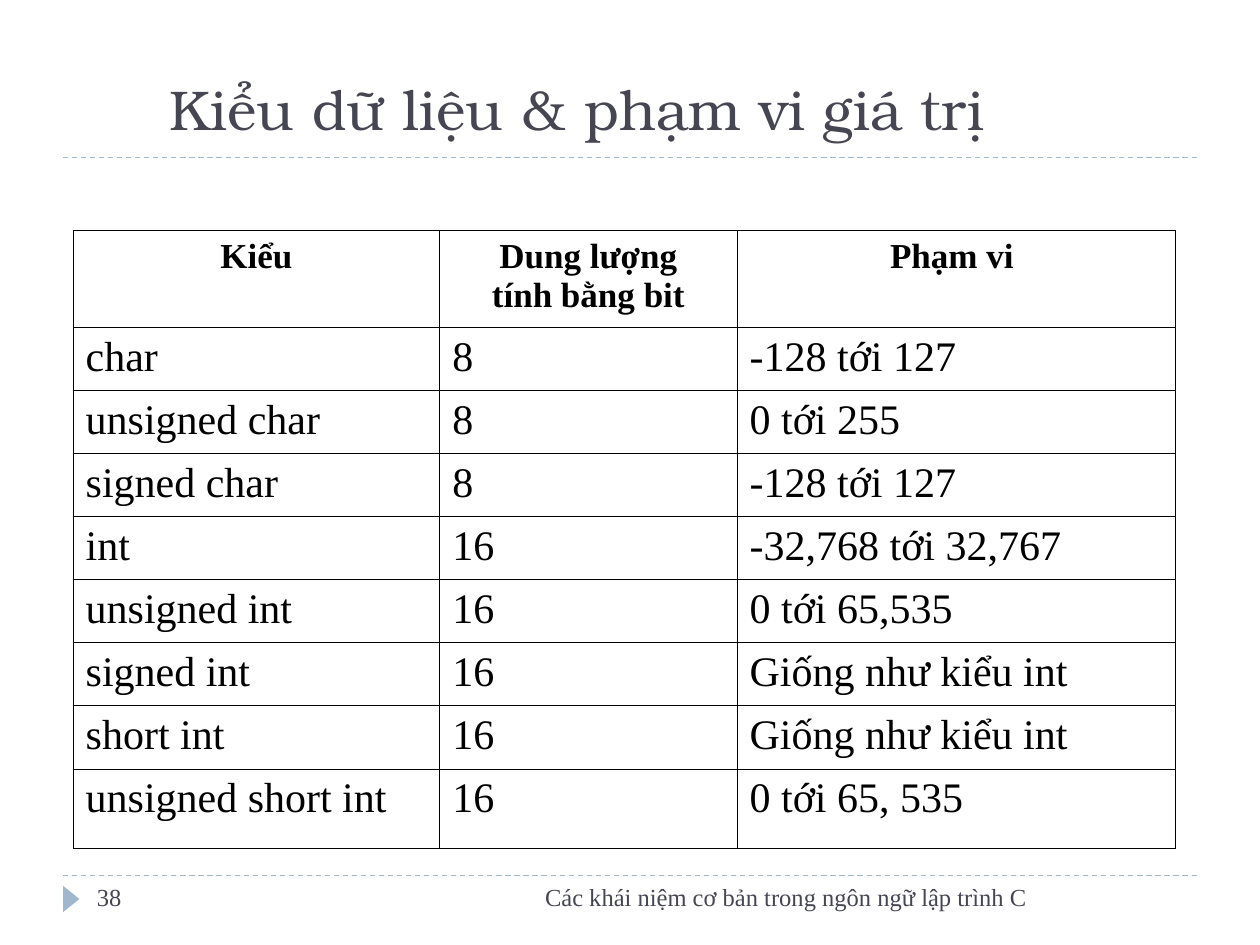
from pptx import Presentation
from pptx.dml.color import RGBColor
from pptx.enum.dml import MSO_LINE
from pptx.enum.shapes import MSO_CONNECTOR, MSO_SHAPE
from pptx.enum.text import MSO_ANCHOR, PP_ALIGN
from pptx.oxml.ns import qn
from pptx.util import Inches, Pt
from lxml import etree

STRAIGHT, TRIANGLE = MSO_CONNECTOR.STRAIGHT, MSO_SHAPE.ISOSCELES_TRIANGLE
DASH = MSO_LINE.DASH
LEFT, CENTER, RIGHT, JUSTIFY = (PP_ALIGN.LEFT, PP_ALIGN.CENTER,
                                PP_ALIGN.RIGHT, PP_ALIGN.JUSTIFY)
TOP, BOTTOM = MSO_ANCHOR.TOP, MSO_ANCHOR.BOTTOM

TITLE_FONT, BODY_FONT = "TeX Gyre Bonum", "Times New Roman"
INK, ACCENT, BLACK = "464653", "9FB8CD", "000000"

HEADERS = ["Kiểu", "Dung lượng\ntính bằng bit", "Phạm vi "]
TYPES = [
    ("char", "8", "-128 tới 127"),
    ("unsigned char", "8", "0 tới 255"),
    ("signed char", "8", "-128 tới 127"),
    ("int", "16", "-32,768 tới 32,767"),
    ("unsigned int", "16", "0 tới 65,535"),
    ("signed int", "16", "Giống như kiểu int"),
    ("short int", "16", "Giống như kiểu int"),
    ("unsigned short int", "16", "0 tới 65, 535"),
]
COL_WIDTHS = [2.91, 2.36, 3.48]
ROW_HEIGHTS = [0.77] + [0.5] * 7 + [0.63]


def rgb(color):
    return RGBColor.from_string(color)


def set_text(tf, text, size, font, color, align=LEFT, bold=False):
    tf.text = text
    for p in tf.paragraphs:
        p.alignment = align
        for r in p.runs:
            r.font.size = Pt(size)
            r.font.name = font
            r.font.bold = bold
            r.font.color.rgb = rgb(color)


def add_text(s, box, text, size, font, align=LEFT, anchor=TOP):
    tf = s.shapes.add_textbox(*map(Inches, box)).text_frame
    tf.word_wrap = True
    tf.vertical_anchor = anchor
    set_text(tf, text, size, font, INK, align)


def add_rule(s, x, y, width):
    line = s.shapes.add_connector(STRAIGHT, Inches(x), Inches(y),
                                  Inches(x + width), Inches(y))
    line.line.color.rgb = rgb(ACCENT)
    line.line.width = Pt(0.75)
    line.line.dash_style = DASH
    etree.SubElement(line._element.spPr, qn("a:effectLst"))


def set_borders(cell):
    tcPr = cell._tc.get_or_add_tcPr()
    for i, side in enumerate(("lnL", "lnR", "lnT", "lnB")):
        ln = etree.Element(qn(f"a:{side}"), w=str(Pt(0.45)))
        fill = etree.SubElement(ln, qn("a:solidFill"))
        etree.SubElement(fill, qn("a:srgbClr"), val=BLACK)
        tcPr.insert(i, ln)


def add_title(s, x, y, width, height):
    add_text(s, (x + 0.75, y, width - 0.75, height - 0.08),
             "Kiểu dữ liệu & phạm vi giá trị", 32, TITLE_FONT, anchor=BOTTOM)
    add_rule(s, x, y + height, width)


def add_type_table(s, x, y, width, height):
    rows = [HEADERS] + TYPES
    table = s.shapes.add_table(len(rows), len(HEADERS), Inches(x), Inches(y),
                               Inches(width), Inches(height)).table
    table.first_row = table.horz_banding = False
    for column, w in zip(table.columns, COL_WIDTHS):
        column.width = Inches(w)
    for i, (row, h) in enumerate(zip(table.rows, ROW_HEIGHTS)):
        row.height = Inches(h)
        header = i == 0
        for cell, text in zip(row.cells, rows[i]):
            cell.fill.background()
            set_borders(cell)
            set_text(cell.text_frame, text, 20 if header else 24, BODY_FONT,
                     BLACK, CENTER if header else JUSTIFY, header)


def add_footer(s, x, y, width, height):
    add_rule(s, x, y, width)
    # Page marker: a triangle turned to point right
    marker = s.shapes.add_shape(TRIANGLE, Inches(x - 0.04), Inches(y + 0.12),
                                Inches(0.21), Inches(0.13))
    marker.rotation = 90
    marker.shadow.inherit = False
    marker.fill.solid()
    marker.fill.fore_color.rgb = rgb(ACCENT)
    marker.line.fill.background()
    # Page number and course name
    add_text(s, (x + 0.17, y, 2.17, height), "38", 14, BODY_FONT)
    add_text(s, (x + 2.67, y, 5.08, height),
             "Các khái niệm cơ bản trong ngôn ngữ lập trình C",
             14, BODY_FONT, RIGHT)


def main():
    prs = Presentation()
    prs.slide_width, prs.slide_height = Inches(10), Inches(7.5)
    s = prs.slides.add_slide(prs.slide_layouts[6])
    add_title(s, 0.5, 0.25, 9, 1)
    add_type_table(s, 0.58, 1.83, sum(COL_WIDTHS), sum(ROW_HEIGHTS))
    add_footer(s, 0.5, 6.95, 9, 0.4)
    prs.save("out.pptx")


if __name__ == "__main__":
    main()
